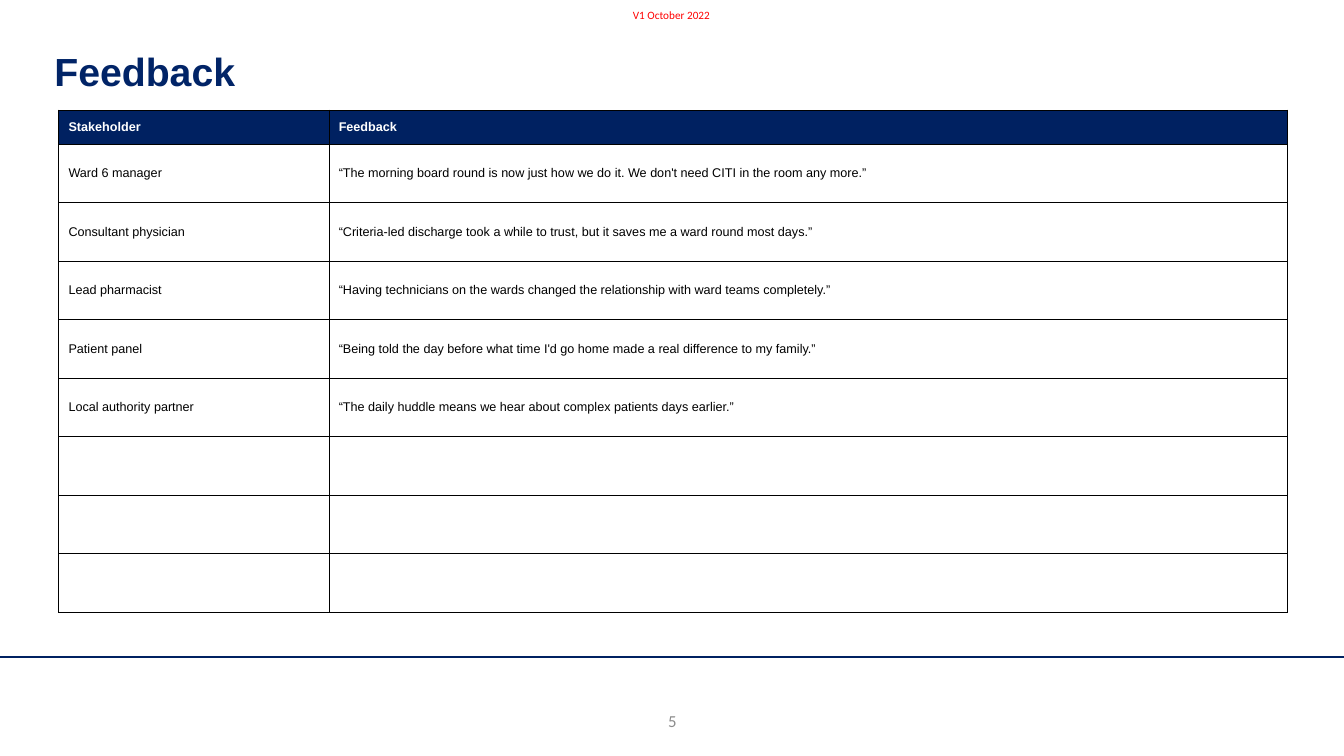
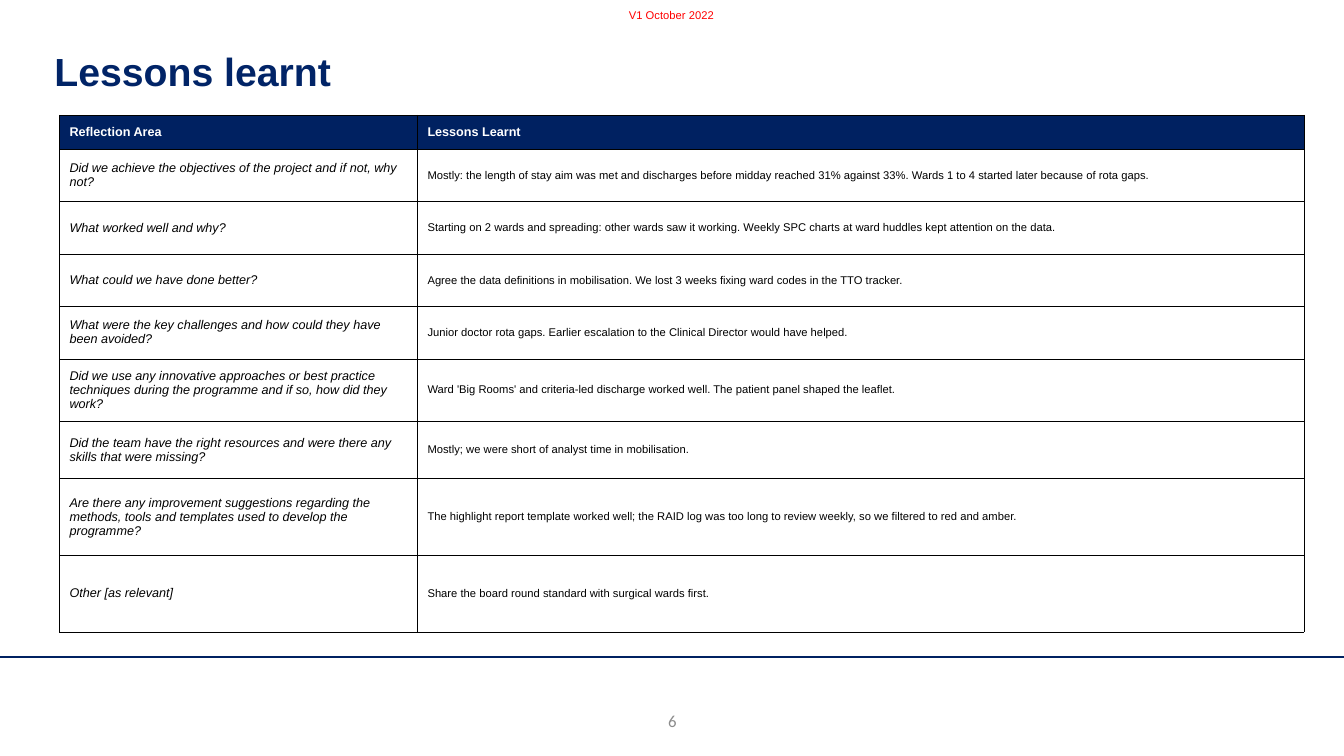
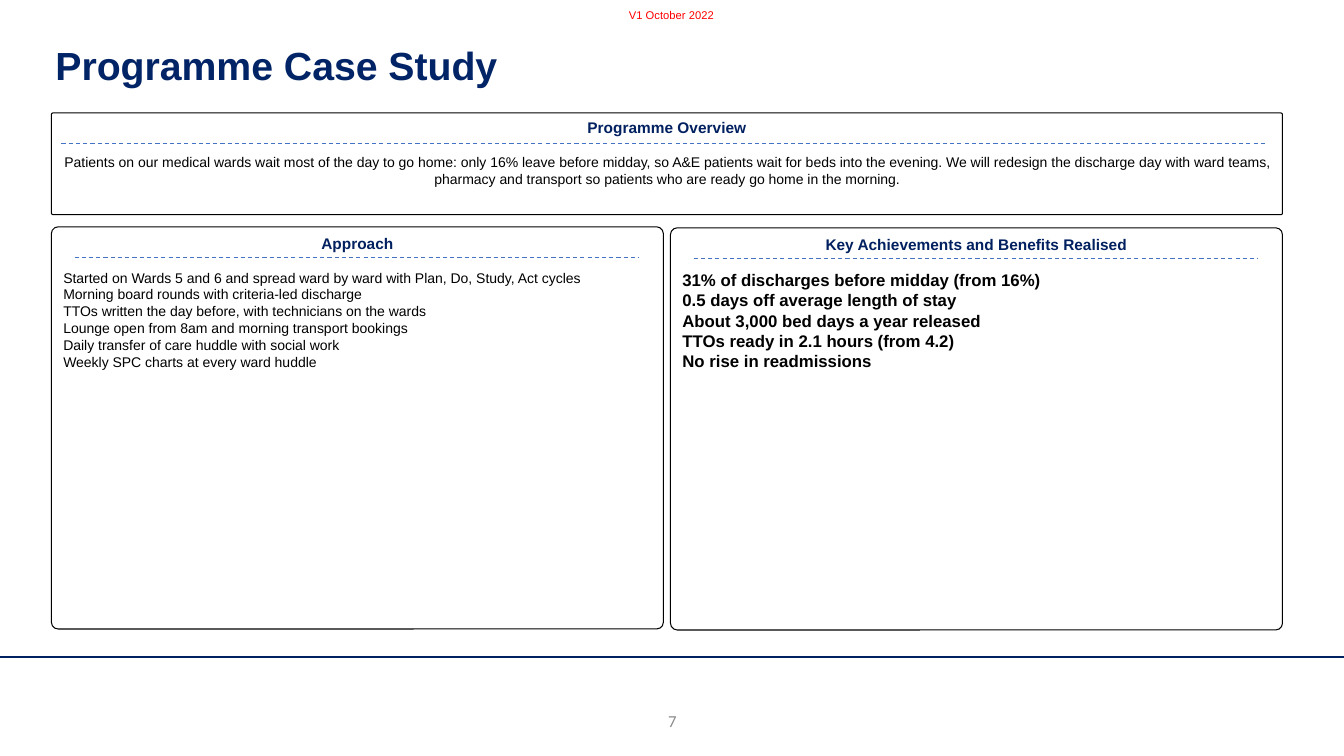
from dataclasses import dataclass

from lxml.etree import SubElement
from pptx import Presentation
from pptx.dml.color import RGBColor
from pptx.enum.dml import MSO_LINE
from pptx.enum.shapes import MSO_CONNECTOR, MSO_SHAPE
from pptx.enum.text import MSO_ANCHOR, MSO_AUTO_SIZE, PP_ALIGN
from pptx.oxml.ns import qn
from pptx.util import Inches, Pt


@dataclass(frozen=True)
class Theme:
    title: str = "012467"
    band: str = "002161"
    heading: str = "002060"
    dash: str = "4472C4"
    version: str = "FF0000"
    number: str = "8C8C8C"
    black: str = "000000"
    white: str = "FFFFFF"
    font: str = "Arial"
    footer_font: str = "Calibri"
    title_size: int = 28
    number_size: int = 12
    achievement_size: int = 12
    heading_size: int = 11
    body_size: int = 10
    cell_size: int = 9
    small_size: int = 8


THEME = Theme()
VERSION = "V1 October 2022"
TITLE_BOX = (0.44, 0.41, 11.85, 0.65)

FEEDBACK = {
    "place": (0.58, 1.09),
    "columns": (2.68, 9.51),
    "heights": [0.34] + [0.58] * 8,
    "italic": False,
    "answer_size": THEME.cell_size,
    "rows": [
        ("Stakeholder", "Feedback"),
        ("Ward 6 manager", "“The morning board round is now just how we do it. We don't need CITI in the room any more.”"),
        ("Consultant physician", "“Criteria-led discharge took a while to trust, but it saves me a ward round most days.”"),
        ("Lead pharmacist", "“Having technicians on the wards changed the relationship with ward teams completely.”"),
        ("Patient panel", "“Being told the day before what time I'd go home made a real difference to my family.”"),
        ("Local authority partner", "“The daily huddle means we hear about complex patients days earlier.”"),
    ] + [("", "")] * 3,
}

LESSONS = {
    "place": (0.59, 1.14),
    "columns": (3.55, 8.79),
    "heights": [0.34] + [0.52] * 4 + [0.62, 0.57, 0.76, 0.76],
    "italic": True,
    "answer_size": THEME.small_size,
    "rows": [
        ("Reflection Area", "Lessons Learnt"),
        ("Did we achieve the objectives of the project and if not, why not?",
         "Mostly: the length of stay aim was met and discharges before midday reached 31% against 33%. "
         "Wards 1 to 4 started later because of rota gaps."),
        ("What worked well and why?",
         "Starting on 2 wards and spreading: other wards saw it working. "
         "Weekly SPC charts at ward huddles kept attention on the data."),
        ("What could we have done better?",
         "Agree the data definitions in mobilisation. We lost 3 weeks fixing ward codes in the TTO tracker."),
        ("What were the key challenges and how could they have been avoided?",
         "Junior doctor rota gaps. Earlier escalation to the Clinical Director would have helped."),
        ("Did we use any innovative approaches or best practice techniques during the programme "
         "and if so, how did they work?",
         "Ward 'Big Rooms' and criteria-led discharge worked well. The patient panel shaped the leaflet."),
        ("Did the team have the right resources and were there any skills that were missing?",
         "Mostly; we were short of analyst time in mobilisation."),
        ("Are there any improvement suggestions regarding the methods, tools and templates used "
         "to develop the programme?",
         "The highlight report template worked well; the RAID log was too long to review weekly, "
         "so we filtered to red and amber."),
        ("Other [as relevant]", "Share the board round standard with surgical wards first."),
    ],
}

PANELS = [
    {
        "heading": "Programme Overview",
        "place": (0.51, 1.12, 12.21, 1.01),
        "dash": (0.1, 11.96),
        "align": PP_ALIGN.CENTER,
        "size": THEME.body_size,
        "bold": False,
        "lines": [
            "Patients on our medical wards wait most of the day to go home: only 16% leave before midday, "
            "so A&E patients wait for beds into the evening. We will redesign the discharge day with ward "
            "teams, pharmacy and transport so patients who are ready go home in the morning.",
        ],
    },
    {
        "heading": "Key Achievements and Benefits Realised",
        "place": (6.65, 2.26, 6.07, 3.99),
        "dash": (0.23, 5.6),
        "align": PP_ALIGN.LEFT,
        "size": THEME.achievement_size,
        "bold": True,
        "lines": [
            "31% of discharges before midday (from 16%)",
            "0.5 days off average length of stay",
            "About 3,000 bed days a year released",
            "TTOs ready in 2.1 hours (from 4.2)",
            "No rise in readmissions",
        ],
    },
    {
        "heading": "Approach",
        "place": (0.51, 2.25, 6.07, 3.99),
        "dash": (0.23, 5.6),
        "align": PP_ALIGN.LEFT,
        "size": THEME.body_size,
        "bold": False,
        "lines": [
            "Started on Wards 5 and 6 and spread ward by ward with Plan, Do, Study, Act cycles",
            "Morning board rounds with criteria-led discharge",
            "TTOs written the day before, with technicians on the wards",
            "Lounge open from 8am and morning transport bookings",
            "Daily transfer of care huddle with social work",
            "Weekly SPC charts at every ward huddle",
        ],
    },
]


def inches(values):
    return [Inches(value) for value in values]


def colour(value):
    return RGBColor.from_string(value)


def style(font, size, shade, bold=False, italic=False, name=THEME.font):
    font.size = Pt(size)
    font.name = name
    font.bold = bold
    font.italic = italic
    font.color.rgb = colour(shade)


def write(para, text, size, shade, align=PP_ALIGN.LEFT, after=0, **look):
    para.alignment = align
    para.space_after = Pt(after)
    if text:
        span = para.add_run()
        span.text = text
        style(span.font, size, shade, **look)
    else:
        style(para.font, size, shade, **look)


def add_rule(page, left, top, width, shade, weight, dash=None):
    rule = page.shapes.add_connector(
        MSO_CONNECTOR.STRAIGHT, *inches((left, top, left + width, top)))
    rule.line.color.rgb = colour(shade)
    rule.line.width = Pt(weight)
    if dash:
        rule.line.dash_style = dash
    SubElement(rule._element.spPr, qn("a:effectLst"))


def add_label(page, place, text, size, shade, name):
    box = page.shapes.add_textbox(*inches(place))
    frame = box.text_frame
    frame.word_wrap = True
    write(frame.paragraphs[0], text, size, shade, PP_ALIGN.CENTER, name=name)
    return frame


def add_page(deck, title, number, title_box=TITLE_BOX, version_font=THEME.font):
    page = deck.slides.add_slide(deck.slide_layouts[5])
    add_rule(page, 0, 6.52, 13.33, THEME.band, 1)
    box = page.shapes.title
    box.left, box.top, box.width, box.height = inches(title_box)
    frame = box.text_frame
    frame.auto_size = MSO_AUTO_SIZE.NONE
    frame.vertical_anchor = MSO_ANCHOR.MIDDLE
    para = frame.paragraphs[0]
    para.line_spacing = 0.9
    write(para, title, THEME.title_size, THEME.title, bold=True)
    footer = add_label(page, (5.62, 6.95, 2.1, 0.4), str(number),
                       THEME.number_size, THEME.number, THEME.footer_font)
    footer.vertical_anchor = MSO_ANCHOR.MIDDLE
    version = add_label(page, (5.46, 0.03, 2.4, 0.24), VERSION,
                        THEME.small_size, THEME.version, version_font)
    version.auto_size = MSO_AUTO_SIZE.SHAPE_TO_FIT_TEXT
    return page


def add_borders(cell):
    properties = cell._tc.get_or_add_tcPr()
    for side in ("lnL", "lnR", "lnT", "lnB"):
        border = SubElement(properties, qn(f"a:{side}"), w=str(Pt(0.25)))
        fill = SubElement(border, qn("a:solidFill"))
        SubElement(fill, qn("a:srgbClr"), val=THEME.black)


def add_grid(page, content):
    rows, columns, heights = content["rows"], content["columns"], content["heights"]
    place = (*content["place"], sum(columns), sum(heights))
    table = page.shapes.add_table(len(rows), len(columns), *inches(place)).table
    table.first_row = False
    table.horz_banding = False
    for column, width in zip(table.columns, columns):
        column.width = Inches(width)
    for row, height in zip(table.rows, heights):
        row.height = Inches(height)
    for row_index, texts in enumerate(rows):
        header = row_index == 0
        for column_index, text in enumerate(texts):
            first = column_index == 0
            cell = table.cell(row_index, column_index)
            cell.vertical_anchor = MSO_ANCHOR.MIDDLE
            add_borders(cell)
            cell.fill.solid()
            cell.fill.fore_color.rgb = colour(THEME.band if header else THEME.white)
            write(cell.text_frame.paragraphs[0], text,
                  THEME.cell_size if header or first else content["answer_size"],
                  THEME.white if header else THEME.black,
                  after=3 if first and text and not header else 0,
                  bold=header,
                  italic=content["italic"] and first and not header)


def add_panel(page, panel):
    left, top, _, _ = panel["place"]
    box = page.shapes.add_shape(MSO_SHAPE.ROUNDED_RECTANGLE, *inches(panel["place"]))
    box.adjustments[0] = 0.017
    box.shadow.inherit = False
    box.fill.solid()
    box.fill.fore_color.rgb = colour(THEME.white)
    box.line.color.rgb = colour(THEME.black)
    box.line.width = Pt(0.75)
    frame = box.text_frame
    frame.word_wrap = True
    frame.vertical_anchor = MSO_ANCHOR.TOP
    write(frame.paragraphs[0], panel["heading"], THEME.heading_size, THEME.heading,
          PP_ALIGN.CENTER, after=12, bold=True)
    for text in panel["lines"]:
        write(frame.add_paragraph(), text, panel["size"], THEME.black,
              panel["align"], bold=panel["bold"])
    indent, length = panel["dash"]
    add_rule(page, left + indent, top + 0.3, length, THEME.dash, 0.75, MSO_LINE.DASH)


def main():
    deck = Presentation()
    deck.slide_width, deck.slide_height = inches((13.33, 7.5))
    add_grid(add_page(deck, "Feedback", 5, version_font=THEME.footer_font), FEEDBACK)
    add_grid(add_page(deck, "Lessons learnt", 6), LESSONS)
    case_study = add_page(deck, "Programme Case Study", 7, (0.45, 0.15, 11.85, 1.04))
    for panel in PANELS:
        add_panel(case_study, panel)
    deck.save("out.pptx")


if __name__ == "__main__":
    main()
